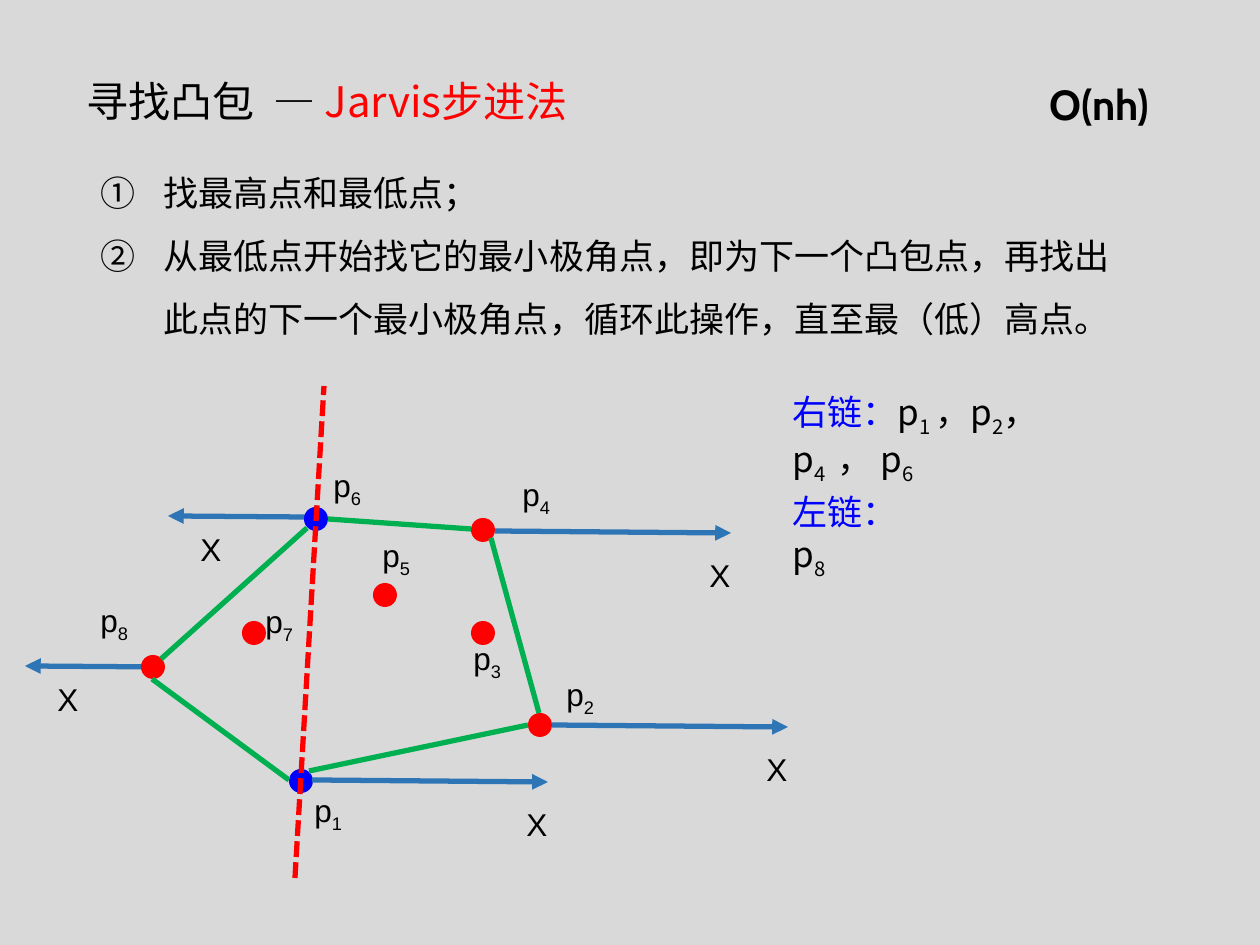
import pptx
import pptx.util
import pptx.dml.color
import pptx.enum.dml
import pptx.enum.shapes
import pptx.enum.text
import pptx.oxml.ns
from lxml import etree

SCALE = 914400 / 126  # EMU per px
COLORS = {
    "background": "D9D9D9",
    "text": "000000",
    "red": "FF0000",
    "blue": "0000FF",
    "hull": "00B050",
    "ray": "2E75B6",
}
SANS = "Arial"
CJK = "Noto Sans CJK SC"
DOT = 24
RAY = {"right": (236, 2, 202, 19), "left": (-137, -1, -117, 7)}


def emu(*lengths):
    return [pptx.util.Emu(round(n * SCALE)) for n in lengths]


def rgb(name):
    return pptx.dml.color.RGBColor.from_string(COLORS[name])


def sub(parent, tag, **attrs):
    return etree.SubElement(parent, pptx.oxml.ns.qn(tag), **attrs)


def add_text(p, text, size=18, font=SANS, color="text", bold=False, low=False):
    r = p.add_run()
    r.text = text
    r.font.size = pptx.util.Pt(size)
    r.font.name = font
    r.font.bold = bold
    r.font.color.rgb = rgb(color)
    rPr = r.font._element
    sub(rPr, "a:ea", typeface=CJK)
    if low:
        rPr.set("baseline", "-25000")


class Board:
    def __init__(self, prs):
        self.s = prs.slides.add_slide(prs.slide_layouts[5])
        self.s.background.fill.solid()
        self.s.background.fill.fore_color.rgb = rgb("background")

    def title(self, x, y, w, h):
        sp = self.s.shapes.title
        sp.left, sp.top, sp.width, sp.height = emu(x, y, w, h)
        tf = sp.text_frame
        tf.auto_size = pptx.enum.text.MSO_AUTO_SIZE.NONE
        tf.vertical_anchor = pptx.enum.text.MSO_ANCHOR.MIDDLE
        p = tf.paragraphs[0]
        p.alignment = pptx.enum.text.PP_ALIGN.LEFT
        p.line_spacing = 0.9
        return p

    def box(self, x, y, w, h):
        tf = self.s.shapes.add_textbox(*emu(x, y, w, h)).text_frame
        tf.word_wrap = True
        return tf

    def numbered(self, x, y, w, h, items):
        tf = self.box(x, y, w, h)
        for i, item in enumerate(items):
            p = tf.add_paragraph() if i else tf.paragraphs[0]
            p.line_spacing = 1.5
            pPr = p._p.get_or_add_pPr()
            pPr.set("marL", "457200")
            pPr.set("indent", "-457200")
            sub(pPr, "a:buFont", typeface=CJK)
            sub(pPr, "a:buAutoNum", type="circleNumDbPlain")
            add_text(p, item, size=20, font=CJK)

    def chain(self, x, y, w, h, name, lines):
        p = self.box(x, y, w, h).paragraphs[0]
        add_text(p, name, size=20, font=CJK, color="blue")
        for i, line in enumerate(lines):
            if i:
                p.add_line_break()
            for text, low in line:
                add_text(p, text, size=20, font=CJK, low=low)

    def point(self, x, y, color):
        kind = pptx.enum.shapes.MSO_SHAPE.FLOWCHART_CONNECTOR
        sp = self.s.shapes.add_shape(kind, *emu(x, y, DOT, DOT))
        sp.shadow.inherit = False
        sp.fill.solid()
        sp.fill.fore_color.rgb = rgb(color)
        sp.line.fill.background()

    def label(self, x, y, w, text, index=""):
        p = self.box(x, y, w, 50).paragraphs[0]
        add_text(p, text)
        if index:
            add_text(p, index, low=True)

    def line(self, x1, y1, x2, y2, color, arrow=False, dashed=False):
        kind = pptx.enum.shapes.MSO_CONNECTOR.STRAIGHT
        sp = self.s.shapes.add_connector(kind, *emu(x1, y1, x2, y2))
        sp.line.width = pptx.util.Pt(3)
        sp.line.color.rgb = rgb(color)
        if dashed:
            sp.line.dash_style = pptx.enum.dml.MSO_LINE.SQUARE_DOT
            sp.line._ln.find(pptx.oxml.ns.qn("a:prstDash")).set("val", "sysDash")
        if arrow:
            sub(sp.line._ln, "a:tailEnd", type="triangle")
        sub(sp._element.spPr, "a:effectLst")

    def ray(self, x, y, side):
        dx, dy, label_dx, label_dy = RAY[side]
        self.line(x, y, x + dx, y + dy, "ray", arrow=True)
        self.label(x + label_dx, y + label_dy, 53, "X")


def main():
    prs = pptx.Presentation()
    prs.slide_width, prs.slide_height = emu(1260, 945)
    board = Board(prs)

    # Title and complexity
    p = board.title(74, 62, 804, 84)
    add_text(p, "寻找凸包  — ", size=24)
    add_text(p, "Jarvis步进法", size=24, font=CJK, color="red")
    p = board.box(1037, 72, 137, 64).paragraphs[0]
    add_text(p, "O(nh)", size=24, font="Cabin", bold=True)

    # Steps
    board.numbered(88, 144, 1038, 204, [
        "找最高点和最低点；",
        "从最低点开始找它的最小极角点，即为下一个凸包点，再找出"
        "此点的下一个最小极角点，循环此操作，直至最（低）高点。",
    ])

    # Polar axes to the left
    for x, y in [(305, 517), (162, 667)]:
        board.ray(x, y, "left")

    # Points with labels: dot position, label position
    points = [
        ((289, 769), (302, 785)),
        ((528, 713), (554, 669)),
        ((471, 621), (461, 633)),
        ((471, 518), (510, 469)),
        ((373, 583), (370, 530)),
        ((304, 507), (321, 460)),
        ((242, 621), (253, 596)),
        ((141, 655), (88, 595)),
    ]
    for i, (dot, label) in enumerate(points, 1):
        board.point(*dot, "blue" if i in (1, 6) else "red")
        board.label(*label, 69, "p", str(i))

    # Polar axes to the right
    for x, y in [(312, 780), (552, 725), (495, 531)]:
        board.ray(x, y, "right")

    # Dividing line and hull edges
    board.line(295, 878, 324, 386, "red", dashed=True)
    for edge in [
        (309, 771, 528, 725),
        (539, 713, 491, 538),
        (471, 529, 328, 519),
        (307, 528, 161, 659),
        (152, 679, 289, 780),
    ]:
        board.line(*edge, "hull")

    # Chains
    board.chain(780, 384, 396, 55, "右链：", [
        [("p", False), ("1 ", True), ("，p", False), ("2", True), ("，", False)],
        [("p", False), ("4 ", True), (" ， p", False), ("6", True)],
    ])
    board.chain(780, 484, 160, 55, "左链：", [[], [("p", False), ("8", True)]])

    prs.save("out.pptx")


if __name__ == "__main__":
    main()
